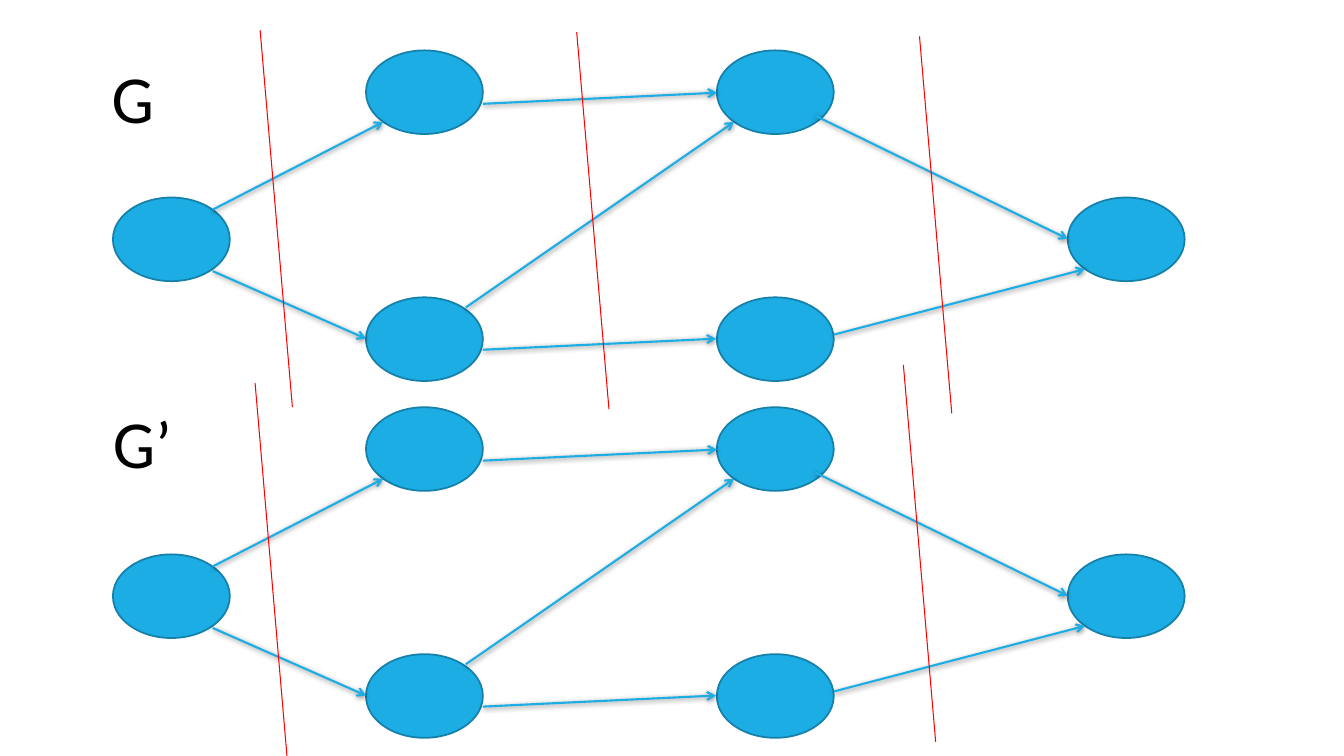
from dataclasses import dataclass

from lxml.etree import SubElement as Sub
from pptx import Presentation
from pptx.dml.color import RGBColor as RGB
from pptx.enum.shapes import MSO_CONNECTOR as Conn, MSO_SHAPE as Kind
from pptx.oxml.ns import qn
from pptx.util import Inches, Pt


@dataclass(frozen=True)
class Theme:
    node: str = "1CADE4"
    rim: str = "1580A9"
    cut: str = "FF0000"
    ink: str = "000000"
    font: str = "Calibri"
    label: float = 48
    rim_w: float = 1.25
    edge_w: float = 1.5
    cut_w: float = 0.75


THEME = Theme()
DROP = 3.54  # from the upper graph to the lower one
SIZE = (1.16, 0.83)
NODES = [(1.12, 1.96), (3.63, 0.5), (3.63, 2.95),
         (7.11, 0.5), (7.11, 2.95), (10.59, 1.96)]
EDGES = [(2.11, 2.08, 3.8, 1.21), (2.11, 2.69, 3.63, 3.36),
         (4.79, 1.03, 7.11, 0.92), (4.79, 3.47, 7.1, 3.36),
         (4.62, 3.05, 7.28, 1.21), (8.09, 1.15, 10.59, 2.37),
         (8.27, 3.32, 10.76, 2.67)]
CUTS = [(2.58, 0.3), (5.72, 0.32), (9.12, 0.36), (2.53, 3.8), (8.96, 3.62)]
SLANT = (0.32, 3.74)


def add_text(slide, text, left, top, wide, high, *, size, color, font):
    box = slide.shapes.add_textbox(*map(Inches, (left, top, wide, high)))
    box.text_frame.word_wrap = True
    run = box.text_frame.paragraphs[0].add_run()
    run.text = text
    run.font.size = Pt(size)
    run.font.name = font
    run.font.color.rgb = RGB.from_string(color)


def add_node(slide, left, top):
    node = slide.shapes.add_shape(
        Kind.OVAL, *map(Inches, (left, top, *SIZE)))
    node.shadow.inherit = False
    node.fill.solid()
    node.fill.fore_color.rgb = RGB.from_string(THEME.node)
    node.line.color.rgb = RGB.from_string(THEME.rim)
    node.line.width = Pt(THEME.rim_w)


def add_line(slide, ends, color, width, arrow=False):
    line = slide.shapes.add_connector(Conn.STRAIGHT, *map(Inches, ends))
    line.line.color.rgb = RGB.from_string(color)
    line.line.width = Pt(width)
    props = line.element.spPr
    if arrow:
        Sub(props.find(qn("a:ln")), qn("a:tailEnd"), type="arrow")
    effect = Sub(props, qn("a:effectLst"))
    if arrow:
        # Soft shadow straight below the edge
        shade = Sub(effect, qn("a:outerShdw"), blurRad=str(Pt(4)),
                    dist=str(Pt(1)), dir="5400000", rotWithShape="0")
        tint = Sub(shade, qn("a:srgbClr"), val=THEME.ink)
        Sub(tint, qn("a:alpha"), val="50000")


def add_graph(slide, drop):
    for left, top in NODES:
        add_node(slide, left, top + drop)
    for x1, y1, x2, y2 in EDGES:
        add_line(slide, (x1, y1 + drop, x2, y2 + drop),
                 THEME.node, THEME.edge_w, arrow=True)


def main():
    deck = Presentation()
    deck.slide_width, deck.slide_height = Inches(13.33), Inches(7.5)
    slide = deck.slides.add_slide(deck.slide_layouts[6])

    # Two equal graphs
    for drop in (0, DROP):
        add_graph(slide, drop)

    # Parallel cuts between the layers
    for left, top in CUTS:
        add_line(slide, (left, top, left + SLANT[0], top + SLANT[1]),
                 THEME.cut, THEME.cut_w)

    # Graph names
    for name, left, top in (("G", 1.01, 0.51), ("G’", 1.02, 3.93)):
        add_text(slide, name, left, top, 0.99, 0.91, size=THEME.label,
                 color=THEME.ink, font=THEME.font)

    deck.save("out.pptx")


if __name__ == "__main__":
    main()
